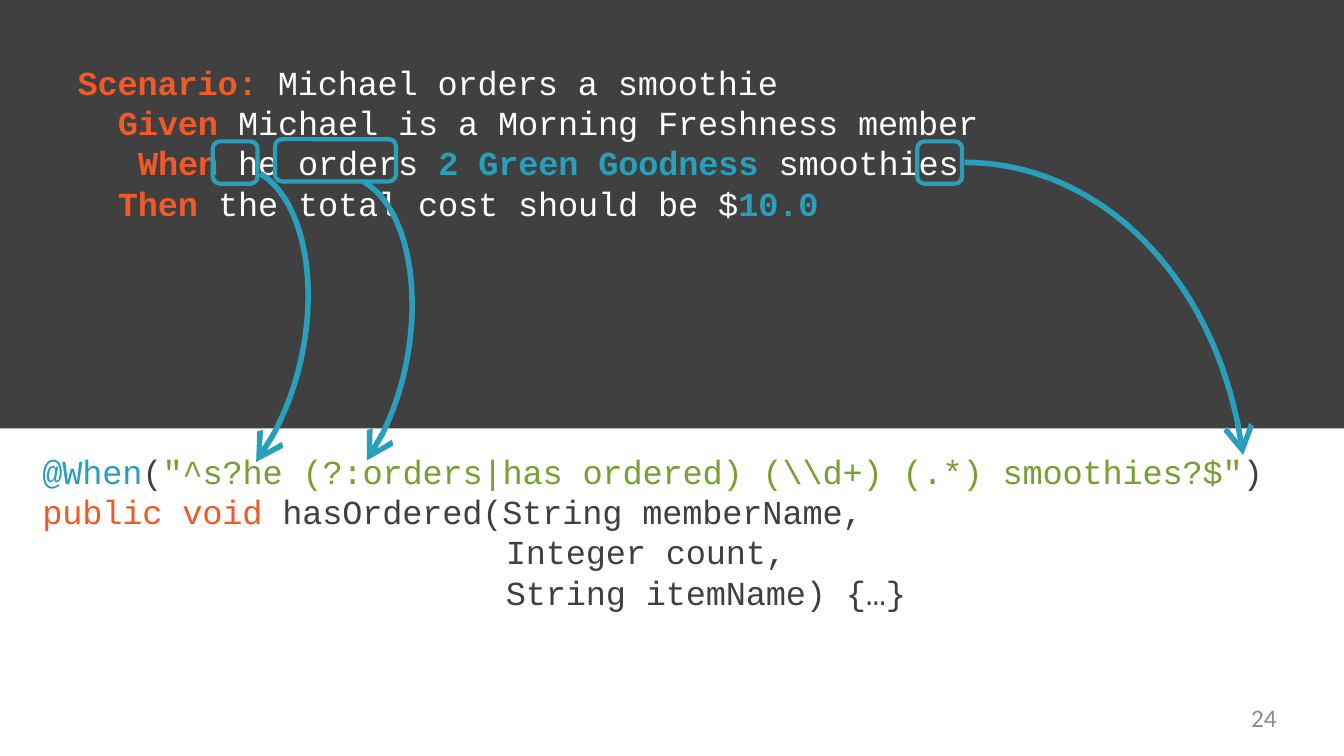
from dataclasses import dataclass

from lxml.etree import SubElement
from pptx import Presentation
from pptx.dml.color import RGBColor
from pptx.enum.shapes import MSO_SHAPE as Shape
from pptx.enum.text import PP_ALIGN as Align
from pptx.oxml.ns import qn
from pptx.util import Pt

DARK, WHITE, GREY = "404040", "FFFFFF", "8C8C8C"
ORANGE, BLUE, GREEN = "EF5A28", "2A9FBB", "779F31"
CODE_FONT = "Courier New"
CHARACTER = 14.4  # width of one code character
CURVE_STEPS = 40

Point = tuple[float, float]


@dataclass
class Span:
    text: str
    color: str
    bold: bool = False


@dataclass
class Line:
    spans: list[Span]
    indent: float = 0


@dataclass
class Frame:
    left: float
    top: float
    width: float
    height: float = 30.2


@dataclass
class Arrow:
    start: Point
    bend_out: Point
    bend_in: Point
    tip: Point

    def at(self, step: float) -> Point:
        """Point of the cubic curve at a step from 0 to 1."""
        rest = 1 - step
        weights = (rest**3, 3 * rest**2 * step, 3 * rest * step**2, step**3)
        knots = (self.start, self.bend_out, self.bend_in, self.tip)
        return (sum(w * x for w, (x, _) in zip(weights, knots)),
                sum(w * y for w, (_, y) in zip(weights, knots)))


SCENARIO = [
    Line([Span("Scenario: ", ORANGE, True), Span("Michael orders a smoothie", WHITE)]),
    Line([Span("Given ", ORANGE, True),
          Span("Michael is a Morning Freshness member", WHITE)], 2 * CHARACTER),
    Line([Span("When ", ORANGE, True), Span("he orders ", WHITE),
          Span("2 Green Goodness ", BLUE, True), Span("smoothies", WHITE)], 3 * CHARACTER),
    Line([Span("Then ", ORANGE, True), Span("the total cost should be $", WHITE),
          Span("10.0", BLUE, True)], 2 * CHARACTER),
]
STEP_CODE = [
    Line([Span("@When", BLUE), Span("(", DARK),
          Span(r'"^s?he (?:orders|has ordered) (\\d+) (.*) smoothies?$"', GREEN),
          Span(")", DARK)]),
    Line([Span("public void ", ORANGE), Span("hasOrdered(String memberName,", DARK)]),
    Line([Span("Integer count,", DARK)], 23 * CHARACTER),
    Line([Span("String itemName) {…}", DARK)], 23 * CHARACTER),
]
# Each group pairs highlighted words with arrows to the matching expression
HIGHLIGHTS = [
    [(Frame(152, 101, 32), Arrow((186, 124), (230, 151), (234, 259), (183, 330))),
     (Frame(196.5, 99.4, 86.4), Arrow((260, 130), (304, 156), (307, 263), (262, 329)))],
    [(Frame(655.2, 101, 32), Arrow((689, 116), (785, 116), (871, 198), (888, 325)))],
]


def color(value: str) -> RGBColor:
    return RGBColor.from_string(value)


def add_text(page, frame: Frame, lines: list[Line], *, font: str, size: float,
             align=Align.LEFT, line_height: float | None = None,
             tracking: float = 0) -> None:
    box = page.shapes.add_textbox(Pt(frame.left), Pt(frame.top),
                                  Pt(frame.width), Pt(frame.height))
    body = box.text_frame
    body.word_wrap = True
    body.margin_left = body.margin_right = body.margin_top = body.margin_bottom = 0
    for number, line in enumerate(lines):
        para = body.add_paragraph() if number else body.paragraphs[0]
        para.alignment = align
        if line_height:
            para.line_spacing = Pt(line_height)
        if line.indent:
            para._p.get_or_add_pPr().set("marL", str(Pt(line.indent)))
        for span in line.spans:
            run = para.add_run()
            run.text = span.text
            run.font.name, run.font.size = font, Pt(size)
            run.font.bold = span.bold
            run.font.color.rgb = color(span.color)
            if tracking:
                run._r.get_or_add_rPr().set("spc", str(round(tracking * 100)))


def add_outline(shape, width: float) -> None:
    shape.shadow.inherit = False
    shape.fill.background()
    shape.line.color.rgb = color(BLUE)
    shape.line.width = Pt(width)


def add_frame(group, frame: Frame) -> None:
    box = group.shapes.add_shape(Shape.ROUNDED_RECTANGLE, Pt(frame.left), Pt(frame.top),
                                 Pt(frame.width), Pt(frame.height))
    add_outline(box, 3)


def add_arrow(group, arrow: Arrow) -> None:
    points = [tuple(Pt(value) for value in arrow.at(step / CURVE_STEPS))
              for step in range(CURVE_STEPS + 1)]
    builder = group.shapes.build_freeform(*points[0])
    builder.add_line_segments(points[1:], close=False)
    curve = builder.convert_to_shape()
    add_outline(curve, 4)
    SubElement(curve.line._get_or_add_ln(), qn("a:tailEnd"), type="arrow", w="lg", len="lg")


def main() -> None:
    deck = Presentation()
    deck.slide_width, deck.slide_height = Pt(960), Pt(540)
    page = deck.slides.add_slide(deck.slide_layouts[6])

    # Dark upper half
    backdrop = page.shapes.add_shape(Shape.RECTANGLE, 0, 0, Pt(960), Pt(306))
    backdrop.shadow.inherit = False
    backdrop.fill.solid()
    backdrop.fill.fore_color.rgb = color(DARK)
    backdrop.line.fill.background()

    # Scenario above, step definition below
    for frame, lines in ((Frame(55.4, 44, 649, 116), SCENARIO),
                         (Frame(30.2, 322, 896, 116), STEP_CODE)):
        add_text(page, frame, lines, font=CODE_FONT, size=24, line_height=28.8,
                 tracking=-0.1)

    # Highlighted words and their arrows
    for pairs in HIGHLIGHTS:
        group = page.shapes.add_group_shape()
        for frame, arrow in pairs:
            add_arrow(group, arrow)
            add_frame(group, frame)

    # Page number
    add_text(page, Frame(691, 502, 221, 27), [Line([Span("24", GREY)])],
             font="Calibri", size=18, align=Align.RIGHT)

    deck.save("out.pptx")


if __name__ == "__main__":
    main()
